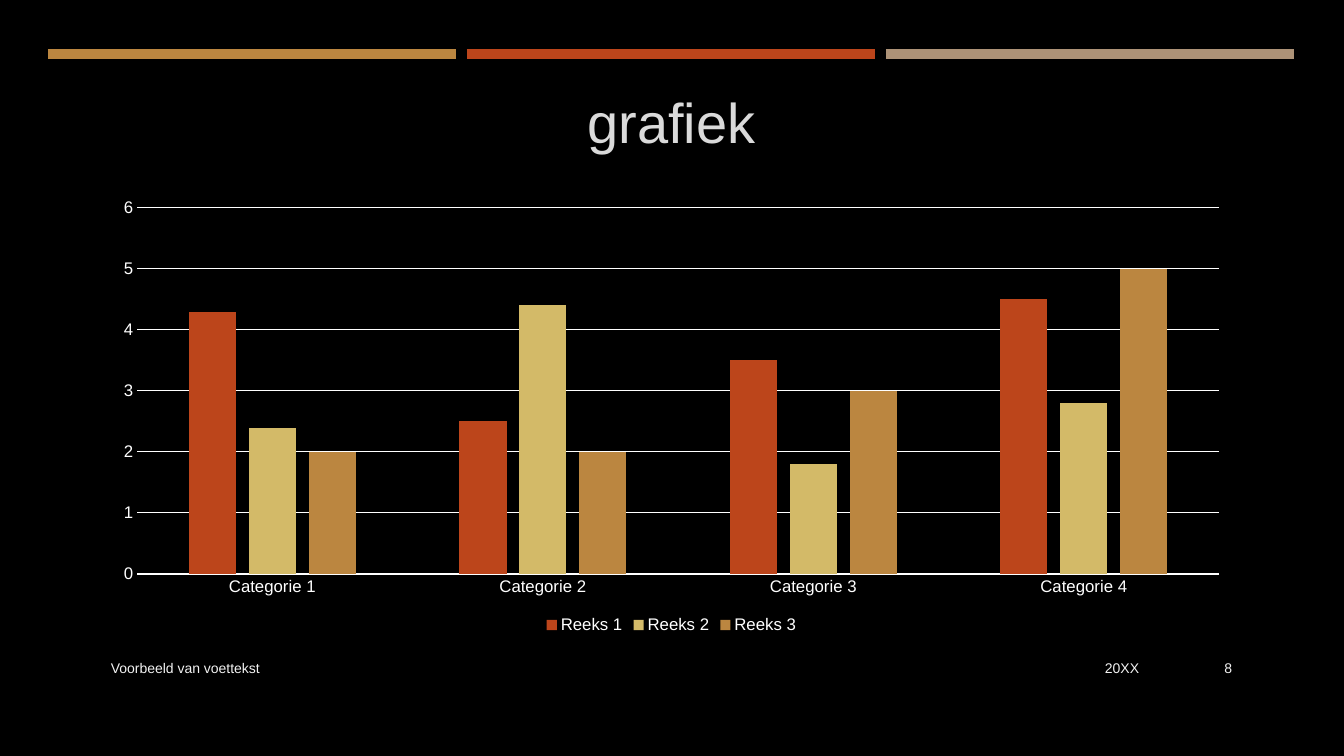
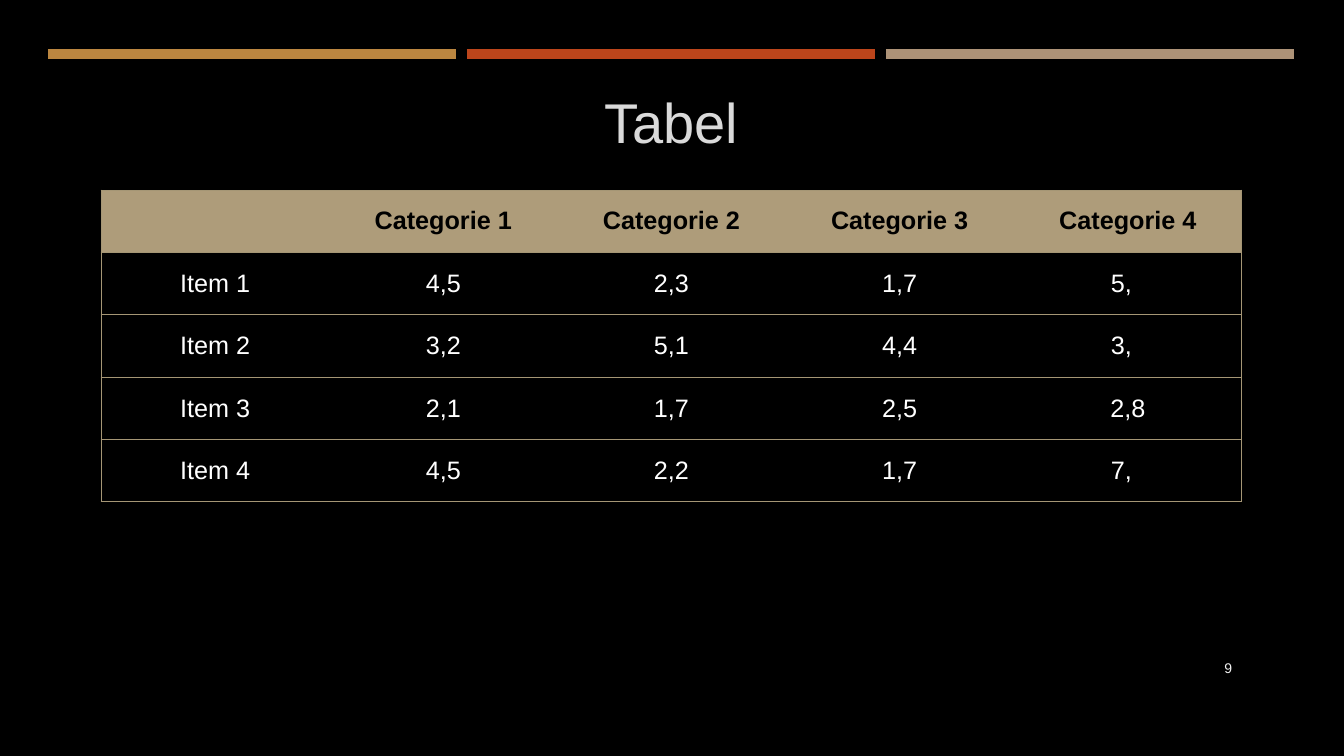
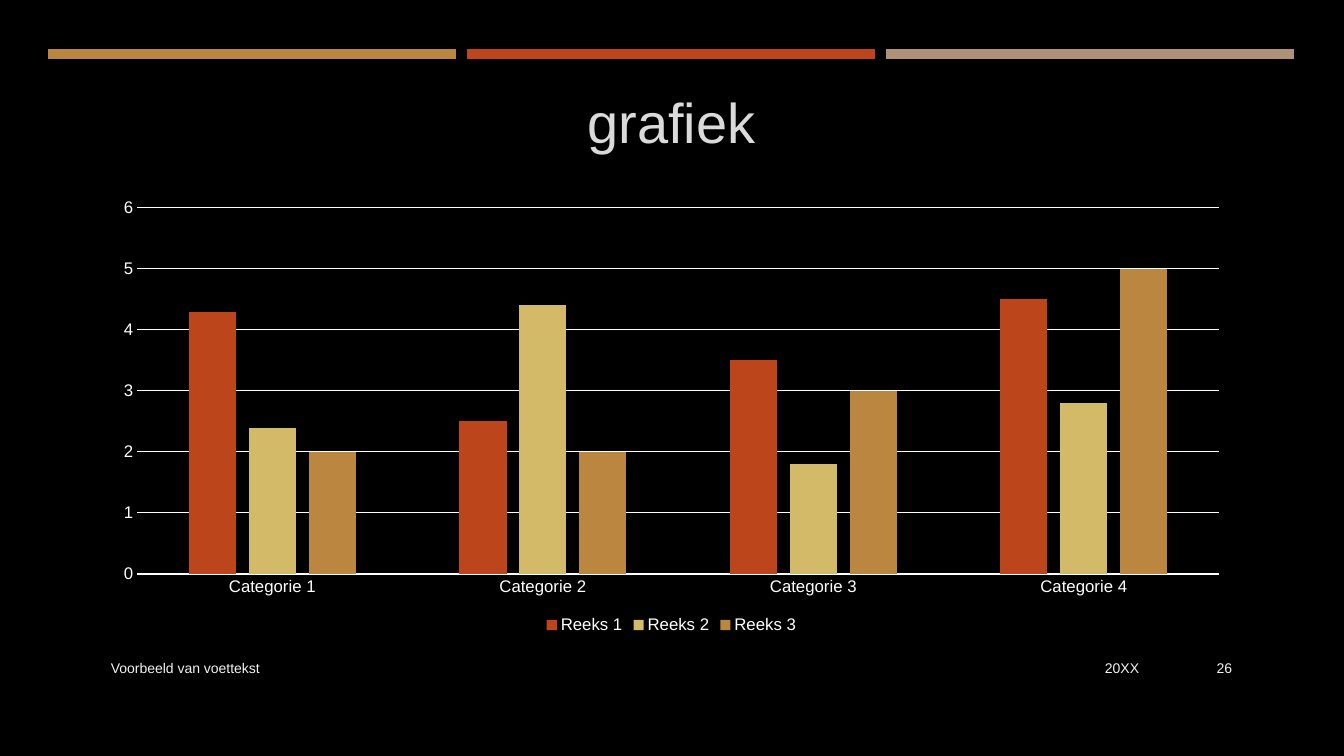
"""Build two chart slides and a table slide in one dark style."""
from lxml.etree import SubElement
from pptx import Presentation
from pptx.chart.data import CategoryChartData
from pptx.dml.color import RGBColor
from pptx.enum.chart import XL_CHART_TYPE, XL_LEGEND_POSITION, XL_TICK_MARK
from pptx.enum.shapes import MSO_CONNECTOR
from pptx.enum.text import MSO_ANCHOR, PP_ALIGN
from pptx.oxml import parse_xml
from pptx.oxml.ns import nsdecls, qn
from pptx.util import Emu, Pt

FONT = "Arial"
BLACK, WHITE, TITLE_GREY, FOOTER_GREY = "000000", "FFFFFF", "DADADA", "F2F2F2"
RUST, STRAW, OCHRE, TAUPE = "BC451B", "D3BA68", "BB8640", "AD9277"
HEADER_FILL, BORDER = "AE9C7A", "A59675"
LEFT, TOP, WIDTH = 101, 190, 1141
BAND_LEFT, BAND_WIDTH, BAND_PITCH = 48, 408, 419

CATEGORIES = ["Categorie 1", "Categorie 2", "Categorie 3", "Categorie 4"]
SERIES = [
    ("Reeks 1", [4.3, 2.5, 3.5, 4.5], RUST),
    ("Reeks 2", [2.4, 4.4, 1.8, 2.8], STRAW),
    ("Reeks 3", [2, 2, 3, 5], OCHRE),
]
ROWS = [
    [""] + CATEGORIES,
    ["Item 1", "4,5", "2,3", "1,7", "5,"],
    ["Item 2", "3,2", "5,1", "4,4", "3,"],
    ["Item 3", "2,1", "1,7", "2,5", "2,8"],
    ["Item 4", "4,5", "2,2", "1,7", "7,"],
]
FOOTER = ("Voorbeeld van voettekst", LEFT, 736, PP_ALIGN.LEFT)
DATE = ("20XX", 847, 302, PP_ALIGN.RIGHT)
SLIDES = [
    ("grafiek", "8", [DATE, FOOTER]),
    ("Tabel", "9", []),
    ("grafiek", "26", [DATE, FOOTER]),
]


def px(length):
    return Emu(round(length * 914400 / 100.8))


def style(font, size, color, bold=False):
    font.name, font.size, font.bold = FONT, Pt(size), bold
    font.color.rgb = RGBColor.from_string(color)


presentation = Presentation()
presentation.slide_width, presentation.slide_height = px(1344), px(756)
background = presentation.slide_master.background.fill
background.solid()
background.fore_color.rgb = RGBColor.from_string(BLACK)

for title_text, number, footers in SLIDES:
    slide = presentation.slides.add_slide(presentation.slide_layouts[5])

    for index, color in enumerate([OCHRE, RUST, TAUPE]):
        start = BAND_LEFT + index * BAND_PITCH
        band = slide.shapes.add_connector(
            MSO_CONNECTOR.STRAIGHT, px(start), px(54), px(start + BAND_WIDTH), px(54))
        band.line.color.rgb = RGBColor.from_string(color)
        band.line.width = Pt(6.5)
        SubElement(band._element.spPr, qn("a:effectLst"))

    title = slide.shapes.title
    title.left, title.top, title.width, title.height = px(LEFT), px(68), px(WIDTH), px(107)
    title.text_frame.text = title_text
    title.text_frame.vertical_anchor = MSO_ANCHOR.MIDDLE
    paragraph = title.text_frame.paragraphs[0]
    paragraph.alignment = PP_ALIGN.CENTER
    style(paragraph.font, 40, TITLE_GREY)

    for text, left, width, alignment in footers + [(number, 1159, 83, PP_ALIGN.RIGHT)]:
        box = slide.shapes.add_textbox(px(left), px(648), px(width), px(40))
        box.text_frame.word_wrap = True
        box.text_frame.vertical_anchor = MSO_ANCHOR.MIDDLE
        paragraph = box.text_frame.paragraphs[0]
        paragraph.text = text
        paragraph.alignment = alignment
        style(paragraph.font, 10, FOOTER_GREY)

    if title_text == "grafiek":
        chart_data = CategoryChartData()
        chart_data.categories = CATEGORIES
        for name, values, color in SERIES:
            chart_data.add_series(name, values)
        chart = slide.shapes.add_chart(
            XL_CHART_TYPE.COLUMN_CLUSTERED, px(LEFT), px(TOP), px(WIDTH), px(448),
            chart_data).chart
        style(chart.font, 12, WHITE)
        chart.has_title = False
        chart.has_legend = True
        chart.legend.position = XL_LEGEND_POSITION.BOTTOM
        chart.legend.include_in_layout = False
        style(chart.legend.font, 12, WHITE)

        plot = chart.plots[0]
        plot.vary_by_categories = False
        plot.gap_width, plot.overlap = 219, -27
        for series, (name, values, color) in zip(plot.series, SERIES):
            series.format.fill.solid()
            series.format.fill.fore_color.rgb = RGBColor.from_string(color)

        value_axis = chart.value_axis
        value_axis.minimum_scale, value_axis.maximum_scale = 0, 6
        value_axis.major_unit = 1
        value_axis.format.line.fill.background()
        for axis in (chart.category_axis, value_axis):
            axis.major_tick_mark = XL_TICK_MARK.NONE
            style(axis.tick_labels.font, 12, WHITE)
        for line in (chart.category_axis.format.line, value_axis.major_gridlines.format.line):
            line.color.rgb = RGBColor.from_string(WHITE)
            line.width = Pt(0.75)
    else:
        last = len(ROWS[0]) - 1
        table = slide.shapes.add_table(
            len(ROWS), len(ROWS[0]), px(LEFT), px(TOP), px(WIDTH), px(312)).table
        table.horz_banding = False
        for row, texts in enumerate(ROWS):
            for column, text in enumerate(texts):
                cell = table.cell(row, column)
                edges = {"L": column == 0, "R": column == last, "T": True, "B": True}
                for side, drawn in edges.items():
                    fill = (f'<a:solidFill><a:srgbClr val="{BORDER}"/></a:solidFill>'
                            if drawn else "<a:noFill/>")
                    cell._tc.get_or_add_tcPr().append(parse_xml(
                        f'<a:ln{side} {nsdecls("a")} w="{Pt(0.75)}">{fill}</a:ln{side}>'))
                if row == 0:
                    cell.fill.solid()
                    cell.fill.fore_color.rgb = RGBColor.from_string(HEADER_FILL)
                else:
                    cell.fill.background()
                cell.vertical_anchor = MSO_ANCHOR.MIDDLE
                if text.endswith(","):
                    cell.margin_right = px(23)
                paragraph = cell.text_frame.paragraphs[0]
                paragraph.text = text
                paragraph.alignment = PP_ALIGN.CENTER
                style(paragraph.font, 18, BLACK if row == 0 else WHITE, row == 0)

presentation.save("out.pptx")
